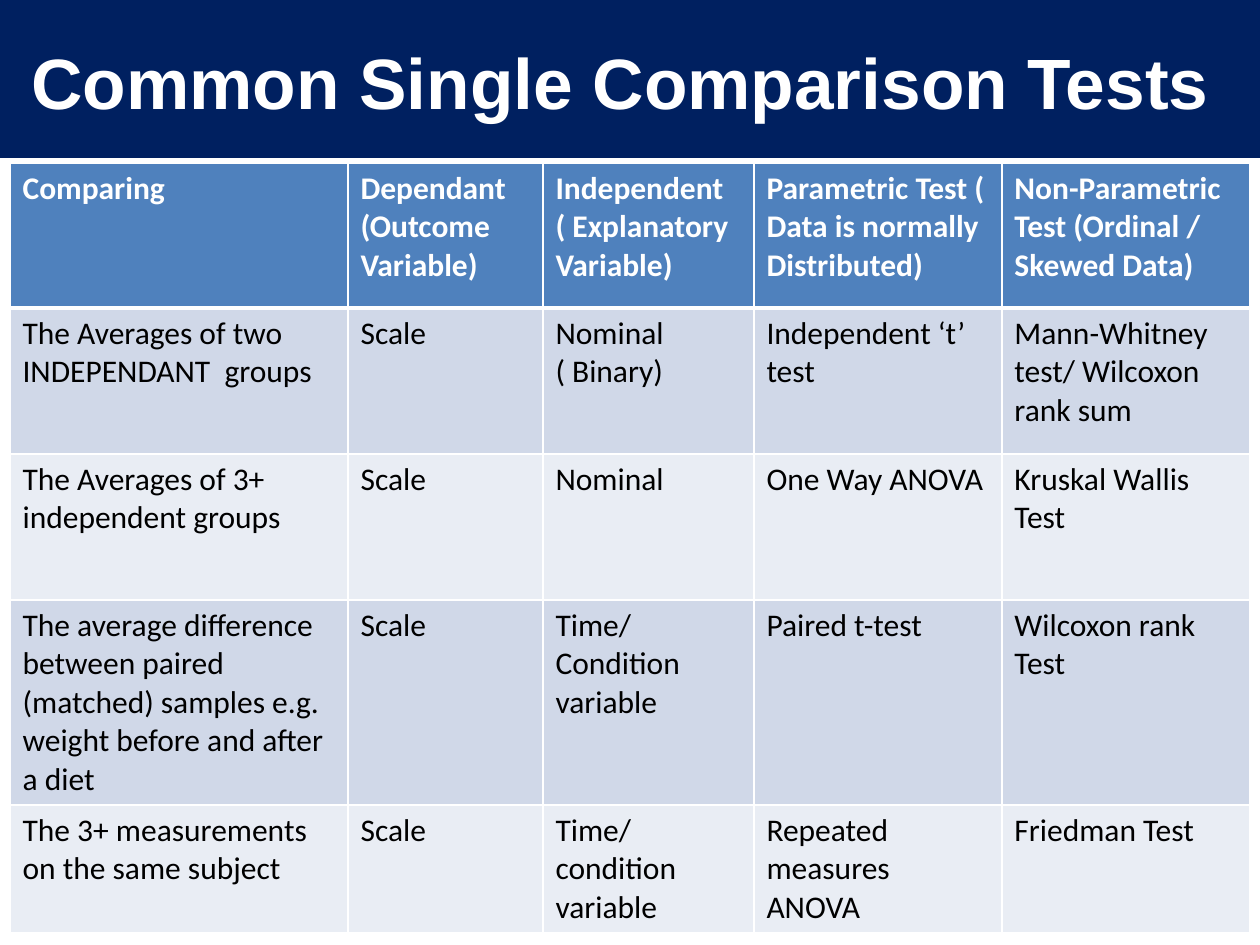
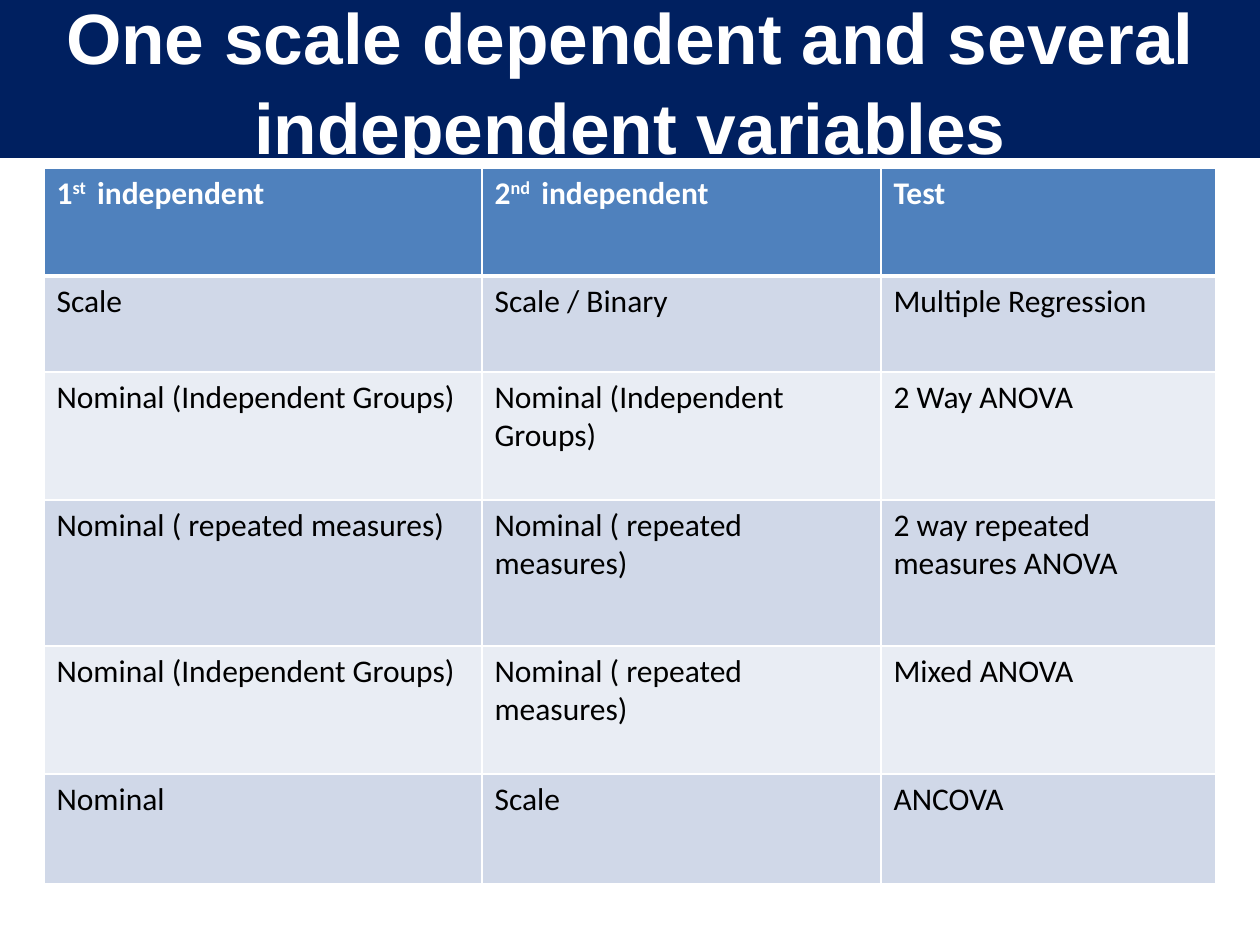
from dataclasses import dataclass

from lxml.etree import SubElement
from pptx import Presentation
from pptx.dml.color import RGBColor
from pptx.enum.shapes import MSO_SHAPE
from pptx.enum.text import MSO_ANCHOR, PP_ALIGN
from pptx.oxml.ns import qn
from pptx.presentation import Presentation as Deck
from pptx.slide import Slide
from pptx.table import _Cell
from pptx.text.text import TextFrame
from pptx.util import Emu, Pt

PX_PER_INCH = 126
SLIDE_WIDTH, SLIDE_HEIGHT, BAND_HEIGHT = 1260, 945, 158

NAVY = "002060"
HEADER_BLUE = "4F81BD"
STRIPES = ("D0D8E8", "E9EDF4")
WHITE = "FFFFFF"
BLACK = "000000"


@dataclass(frozen=True)
class TestGuide:
    """A titled slide with one table; the first row holds the headings."""
    title: str
    left: int
    top: int
    widths: tuple[int, ...]
    heights: tuple[int, ...]
    rows: tuple[tuple[str, ...], ...]


# In the texts, a line feed starts a paragraph and ^ switches superscript.
GUIDES = (
    TestGuide(
        title="Common Single Comparison Tests ",
        left=10,
        top=163,
        widths=(338, 195, 211, 248, 248),
        heights=(145, 146, 146, 204, 128),
        rows=(
            ("Comparing", "Dependant\n(Outcome Variable)",
             "Independent\n( Explanatory Variable)",
             "Parametric Test ( Data is normally Distributed)",
             "Non-Parametric Test (Ordinal / Skewed Data)"),
            ("The Averages of two INDEPENDANT  groups", "Scale",
             "Nominal\n( Binary)", "Independent ‘t’ test",
             "Mann-Whitney test/ Wilcoxon rank sum"),
            ("The Averages of 3+ independent groups", "Scale", "Nominal",
             "One Way ANOVA", "Kruskal Wallis Test"),
            ("The average difference between paired (matched) samples e.g. "
             "weight before and after a diet", "Scale",
             "Time/ Condition variable", "Paired t-test",
             "Wilcoxon rank Test"),
            ("The 3+ measurements on the same subject", "Scale",
             "Time/ condition variable", "Repeated measures ANOVA",
             "Friedman Test"),
        ),
    ),
    TestGuide(
        title="One scale dependent and several independent variables",
        left=44,
        top=168,
        widths=(438, 399, 335),
        heights=(108, 96, 128, 146, 128, 110),
        rows=(
            ("1^st ^ independent", "2^nd ^ independent", "Test"),
            ("Scale", "Scale / Binary", "Multiple Regression"),
            ("Nominal (Independent Groups)", "Nominal (Independent Groups)",
             "2 Way ANOVA"),
            ("Nominal ( repeated measures)", "Nominal ( repeated measures)",
             "2 way repeated measures ANOVA"),
            ("Nominal (Independent Groups)", "Nominal ( repeated measures)",
             "Mixed ANOVA"),
            ("Nominal", "Scale", "ANCOVA"),
        ),
    ),
)


def px(length: int) -> Emu:
    return Emu(round(length * 914400 / PX_PER_INCH))


def rgb(color: str) -> RGBColor:
    return RGBColor.from_string(color)


def write(frame: TextFrame, text: str, *, font: str = "Calibri",
          size: float = 18, color: str = BLACK, bold: bool = False,
          align: PP_ALIGN = PP_ALIGN.LEFT, spacing: float = 1.0) -> None:
    frame.word_wrap = True
    for index, line in enumerate(text.split("\n")):
        paragraph = frame.add_paragraph() if index else frame.paragraphs[0]
        paragraph.alignment = align
        paragraph.line_spacing = spacing
        for part, words in enumerate(line.split("^")):
            run = paragraph.add_run()
            run.text = words
            run.font.name = font
            run.font.size = Pt(size)
            run.font.bold = bold
            run.font.color.rgb = rgb(color)
            if part % 2:
                run.font._element.set("baseline", "30000")


def set_borders(cell: _Cell, **widths: float) -> None:
    """Draw white cell edges; keys are L, R, T and B, widths in points."""
    properties = cell._tc.get_or_add_tcPr()
    for side, width in widths.items():
        line = SubElement(properties, qn(f"a:ln{side}"), w=str(Pt(width)))
        fill = SubElement(line, qn("a:solidFill"))
        SubElement(fill, qn("a:srgbClr"), val=WHITE)


def add_title_band(slide: Slide, title: str) -> None:
    band = slide.shapes.add_shape(MSO_SHAPE.RECTANGLE, 0, 0,
                                  px(SLIDE_WIDTH), px(BAND_HEIGHT))
    band.shadow.inherit = False
    band.fill.solid()
    band.fill.fore_color.rgb = rgb(NAVY)
    band.line.fill.background()
    band.text_frame.vertical_anchor = MSO_ANCHOR.MIDDLE
    write(band.text_frame, title, font="Arial", size=40.7, color=WHITE,
          bold=True, align=PP_ALIGN.CENTER, spacing=1.05)


def add_test_table(slide: Slide, guide: TestGuide) -> None:
    table = slide.shapes.add_table(
        len(guide.rows), len(guide.widths), px(guide.left), px(guide.top),
        px(sum(guide.widths)), px(sum(guide.heights))).table
    for column, width in zip(table.columns, guide.widths):
        column.width = px(width)
    for row, height in zip(table.rows, guide.heights):
        row.height = px(height)
    for row_index, texts in enumerate(guide.rows):
        heading = row_index == 0
        fill = HEADER_BLUE if heading else STRIPES[(row_index - 1) % 2]
        for column_index, text in enumerate(texts):
            cell = table.cell(row_index, column_index)
            set_borders(cell, L=1, R=1, T=3 if row_index == 1 else 1,
                        B=3 if heading else 1)
            cell.fill.solid()
            cell.fill.fore_color.rgb = rgb(fill)
            write(cell.text_frame, text, bold=heading,
                  color=WHITE if heading else BLACK)


def add_guide_slide(deck: Deck, guide: TestGuide) -> None:
    slide = deck.slides.add_slide(deck.slide_layouts[6])
    add_title_band(slide, guide.title)
    add_test_table(slide, guide)


def main() -> None:
    deck = Presentation()
    deck.slide_width, deck.slide_height = px(SLIDE_WIDTH), px(SLIDE_HEIGHT)
    for guide in GUIDES:
        add_guide_slide(deck, guide)
    deck.save("out.pptx")


if __name__ == "__main__":
    main()
